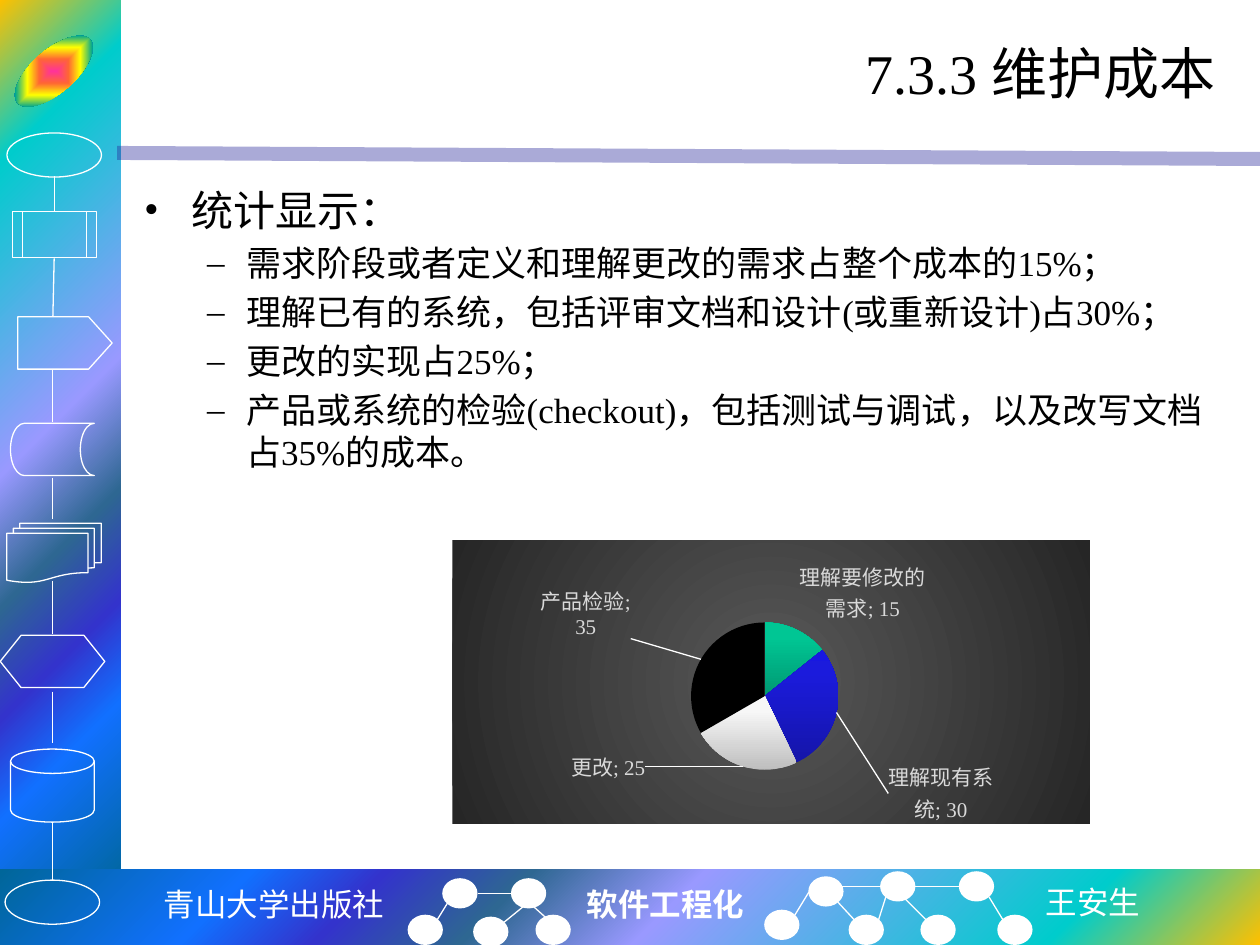
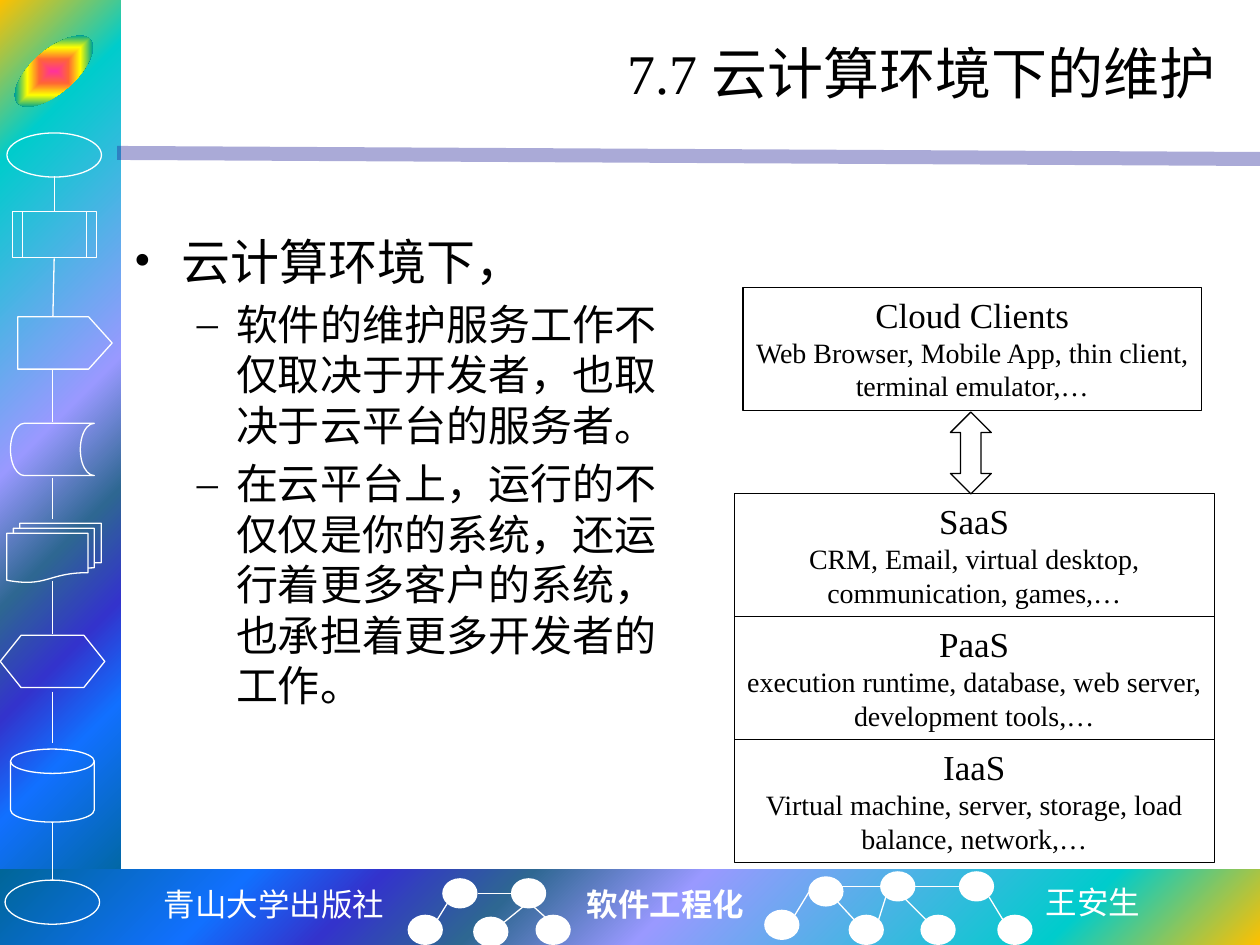
from pptx import Presentation
from pptx.chart.data import CategoryChartData
from pptx.dml.color import RGBColor
from pptx.dml.fill import FillFormat
from pptx.enum.chart import XL_CHART_TYPE
from pptx.enum.shapes import MSO_CONNECTOR, MSO_SHAPE
from pptx.enum.text import MSO_ANCHOR, PP_ALIGN
from pptx.oxml import parse_xml
from pptx.oxml.ns import nsdecls, qn
from pptx.oxml.xmlchemy import OxmlElement
from pptx.util import Inches, Pt

deck = Presentation()
deck.slide_width, deck.slide_height = Inches(10), Inches(7.5)
CELL = deck.slide_width / 100  # the grid has 100 columns and 75 rows of square cells


def place(*cells):
    """Turn grid columns and rows into lengths."""
    return [round(cell * CELL) for cell in cells]


def paint(fill, colours, shade=""):
    """Fill with one hex colour, with none, or with (share, hex) stops and a shade."""
    if not colours:
        fill.background()
    elif isinstance(colours, str):
        fill.solid()
        fill.fore_color.rgb = RGBColor.from_string(colours)
    else:
        fill.gradient()
        stops = "".join(f'<a:gs pos="{share * 1000}"><a:srgbClr val="{colour}"/></a:gs>'
                        for share, colour in colours)
        old = fill._xPr.find(qn("a:gradFill"))
        old.getparent().replace(old, parse_xml(
            f'<a:gradFill {nsdecls("a")} rotWithShape="1"><a:gsLst>{stops}</a:gsLst>{shade}</a:gradFill>'))


# Shared colours, shades and fonts
WHITE, BLACK, RULE, LABEL = "FFFFFF", "000000", "262699", "D9D9D9"
SERIF, MONO, SANS = "Times New Roman", "DejaVu Sans Mono", "Noto Sans CJK SC"
RAINBOW = [(0, "FFC000"), (16, "00CCCC"), (47, "9999FF"), (60, "2E6792"),
           (71, "3333CC"), (81, "1170FF"), (100, "006699")]
EMBLEM = [(0, "FF3399"), (25, "FF6633"), (50, "FFFF00"), (75, "01A78F"), (100, "3366FF")]
FROM_TOP_LEFT = '<a:path path="circle"><a:fillToRect r="100000" b="100000"/></a:path>'
FROM_BOTTOM_RIGHT = '<a:path path="circle"><a:fillToRect l="100000" t="100000"/></a:path>'
CENTRE = '<a:fillToRect l="50000" t="50000" r="50000" b="50000"/>'
UPWARD = '<a:lin ang="16200000" scaled="0"/>'

# Frame: bands, flow chart symbols in the side band, dots in the footer
BANDS = [((0, 0, 9.6, 70.9), FROM_TOP_LEFT), ((0, 69, 100, 6), FROM_BOTTOM_RIGHT)]
SYMBOLS = [
    (MSO_SHAPE.OVAL, (0.55, 10.55, 7.5, 3.5)),
    (MSO_SHAPE.FLOWCHART_PREDEFINED_PROCESS, (0.98, 16.78, 6.7, 3.65)),
    (MSO_SHAPE.PENTAGON, (1.4, 25.15, 7.5, 4.15)),
    (MSO_SHAPE.FLOWCHART_STORED_DATA, (0.83, 33.6, 6.65, 4.15)),
    (MSO_SHAPE.FLOWCHART_MULTIDOCUMENT, (0.53, 41.53, 7.5, 4.7)),
    (MSO_SHAPE.FLOWCHART_PREPARATION, (0.02, 50.42, 8.3, 4.15)),
    (MSO_SHAPE.FLOWCHART_MAGNETIC_DISK, (0.83, 59.45, 6.65, 5.8)),
    (MSO_SHAPE.OVAL, (0.4, 69.85, 7.5, 3.5)),
]
DOTS = [(32.35, 72.6), (35.1, 69.7), (37.55, 72.75), (40.55, 69.7), (42.5, 72.6),
        (60.65, 72.2), (64.15, 69.55), (67.35, 72.6), (69.85, 69.15), (73.05, 72.6),
        (76.1, 69.15), (79.15, 72.6)]
FLOW = [(4.3, 14, 4.3, 16.8), (4.3, 20.5, 4.2, 25.1)] + [
    (4.16, top, 4.16, bottom) for top, bottom in
    [(29.3, 33.5), (37.9, 41.2), (46.1, 50.3), (54.9, 59), (65.3, 69.9)]]
LINKS = [(34.7, 73, 35.5, 71.7), (40, 73.2, 41.6, 71.9), (40.6, 70.9, 37.9, 70.9),
         (43.4, 72.9, 42.4, 72), (63.1, 72.6, 64.2, 70.8), (67.8, 73, 66.5, 71.6),
         (66.8, 70.35, 70.3, 70.35), (69.7, 73.1, 70.3, 71.2), (73.5, 73, 71.5, 71),
         (72.6, 70.35, 76.1, 70.35), (79.6, 73, 78.5, 71.2)]

# Text blocks: place, look, paragraphs of (text, size)
FOOTERS = [
    ((11.9, 69.75, 19.7, 4), dict(colour=WHITE, font=MONO, align=PP_ALIGN.CENTER, wrap=False),
     [("青山大学出版社", 18)]),
    ((45.6, 69.75, 14.6, 4), dict(colour=WHITE, bold=True, wrap=False), [("软件工程化", 18)]),
    ((82, 69.6, 9.6, 4), dict(colour=WHITE, font=SANS, asian=SANS, wrap=False), [("王安生", 18)]),
]
TITLE = dict(align=PP_ALIGN.RIGHT, anchor=MSO_ANCHOR.MIDDLE)
BODY = dict(bullets=True)
FRAMED = dict(align=PP_ALIGN.CENTER, outline=BLACK)
COST = [
    ("统计显示：", 24),
    ("需求阶段或者定义和理解更改的需求占整个成本的15%；", 20),
    ("理解已有的系统，包括评审文档和设计(或重新设计)占30%；", 20),
    ("更改的实现占25%；", 20),
    ("产品或系统的检验(checkout)，包括测试与调试，以及改写文档占35%的成本。", 20),
]
CLOUD = [
    ("云计算环境下，", 28),
    ("软件的维护服务工作不仅取决于开发者，也取决于云平台的服务者。", 24),
    ("在云平台上，运行的不仅仅是你的系统，还运行着更多客户的系统，也承担着更多开发者的工作。", 24),
]
LAYERS = [
    ("SaaS", "CRM, Email, virtual desktop, communication, games,…"),
    ("PaaS", "execution runtime, database, web server, development tools,…"),
    ("IaaS", "Virtual machine, server, storage, load balance, network,…"),
]
LAYER_HEIGHT = 9.77
CLIENTS = [("Cloud Clients", 20), ("Web Browser, Mobile App, thin client, terminal emulator,…", 16)]
PAGES = [
    ("7.3.3 维护成本", [((10.45, 14.15, 87.8, 55), BODY, COST)]),
    ("7.7 云计算环境下的维护",
     [((9.65, 17.85, 46.2, 52.5), BODY, CLOUD), ((58.97, 22.8, 36.4, 9.77), FRAMED, CLIENTS)]
     + [((58.27, 39.15 + row * LAYER_HEIGHT, 38.1, LAYER_HEIGHT), FRAMED, [(name, 20), (parts, 16)])
        for row, (name, parts) in enumerate(LAYERS)]),
]

pages = []
for title, blocks in PAGES:
    page = deck.slides.add_slide(deck.slide_layouts[6])
    pages.append(page)

    # Bands
    for cells, shade in BANDS:
        band = page.shapes.add_shape(MSO_SHAPE.RECTANGLE, *place(*cells))
        band.shadow.inherit = False
        paint(band.fill, RAINBOW, shade)
        paint(band.line.fill, None)

    # Emblem, symbols and dots
    emblem = (MSO_SHAPE.OVAL, (0.45, 3.95, 7.65, 3.4), EMBLEM, None)
    symbols = [(kind, cells, None, WHITE) for kind, cells in SYMBOLS]
    dots = [(MSO_SHAPE.OVAL, (*corner, 2.8, 2.4), WHITE, None) for corner in DOTS]
    for kind, cells, colours, outline in [emblem, *symbols, *dots]:
        shape = page.shapes.add_shape(kind, *place(*cells))
        shape.shadow.inherit = False
        paint(shape.fill, colours, f'<a:path path="shape">{CENTRE}</a:path>')
        paint(shape.line.fill, outline)
        if outline:
            shape.line.width = Pt(0.75)
        if colours is EMBLEM:
            shape.rotation = -41
        if kind == MSO_SHAPE.PENTAGON:
            shape.adjustments[0] = 0.45

    # Title rule, flow lines and links
    rule = (9.3, 12.14, 100, 12.62)
    for ends in [rule, *FLOW, *LINKS]:
        line = page.shapes.add_connector(MSO_CONNECTOR.STRAIGHT, *place(*ends))
        paint(line.line.fill, RULE if ends is rule else WHITE)
        line.line.width = Pt(8 if ends is rule else 0.75)
        line._element.spPr.append(OxmlElement("a:effectLst"))
        if ends is rule:
            alpha = OxmlElement("a:alpha")
            alpha.set("val", "39000")
            next(line._element.iter(qn("a:srgbClr"))).append(alpha)

    # Footers, title and body text
    heading = ((12.5, 1.7, 85, 8.1), TITLE, [(title, 32)])
    for cells, look, rows in [*FOOTERS, heading, *blocks]:
        box = page.shapes.add_textbox(*place(*cells))
        frame = box.text_frame
        frame.word_wrap = look.get("wrap", True)
        frame.vertical_anchor = look.get("anchor", MSO_ANCHOR.TOP)
        if "outline" in look:
            paint(box.line.fill, look["outline"])
            box.line.width = Pt(0.75)
        for index, (text, size) in enumerate(rows):
            para = frame.add_paragraph() if index else frame.paragraphs[0]
            para.alignment = look.get("align", PP_ALIGN.LEFT)
            span = para.add_run()
            span.text = text
            style = dict(size=Pt(size), name=look.get("font", SERIF), bold=look.get("bold", False))
            for key, value in style.items():
                setattr(span.font, key, value)
            paint(span.font.fill, look.get("colour", BLACK))
            asian = OxmlElement("a:ea")
            asian.set("typeface", look.get("asian", MONO))
            span.font._element.find(qn("a:latin")).addnext(asian)
            if look.get("bullets"):
                para.level = min(index, 1)
                para.space_before = Pt(size * 0.2)
                margin, hanging, mark = [(0.38, 0.38, "•"), (0.81, 0.31, "–")][para.level]
                setting = para._p.get_or_add_pPr()
                setting.set("marL", str(Inches(margin)))
                setting.set("indent", str(-Inches(hanging)))
                setting.set("hangingPunct", "0")
                for tag, key, value in [("a:buFont", "typeface", SERIF), ("a:buChar", "char", mark)]:
                    bullet = OxmlElement(tag)
                    bullet.set(key, value)
                    setting.append(bullet)

# Pie of maintenance costs
cost_page, cloud_page = pages
data = CategoryChartData()
data.categories = ["理解要修改的需求", "理解现有系统", "更改", "产品检验"]
data.add_series("Series 1", [15, 30, 25, 35])
chart = cost_page.shapes.add_chart(XL_CHART_TYPE.PIE, *place(35.9, 42.88, 50.6, 22.5), data).chart
chart.has_legend = chart.has_title = False
chart.font.size, chart.font.name = Pt(10), SERIF
paint(chart.font.fill, BLACK)
pie = chart.plots[0]
pie.vary_by_categories = True
series = pie.series[0]
SLICES = [
    [(0, "009872"), (80, "00C694"), (100, "00C795")],
    [(0, "1515A9"), (80, "1B1BDC"), (100, "1818E1")],
    [(0, "BEBEBE"), (80, "F7F7F7"), (100, "F8F8F8")],
    BLACK,
]
for index, colours in enumerate(SLICES):
    paint(series.points[index].format.fill, colours, UPWARD)

# Chart background
backdrop = OxmlElement("c:spPr")
chart._chartSpace.chart.addnext(backdrop)
paint(FillFormat.from_fill_parent(backdrop), [(0, "595959"), (100, "262626")],
      f'<a:path path="circle">{CENTRE}</a:path>')
backdrop.append(parse_xml(f'<a:ln {nsdecls("a")}><a:noFill/></a:ln>'))

# Pie position inside the chart
area = chart._chartSpace.chart.plotArea
for old in area.findall(qn("c:layout")):
    area.remove(old)
area.insert(0, parse_xml(
    f'<c:layout {nsdecls("c")}><c:manualLayout><c:layoutTarget val="inner"/>'
    '<c:xMode val="edge"/><c:yMode val="edge"/><c:x val="0.37"/><c:y val="0.29"/>'
    '<c:w val="0.24"/><c:h val="0.52"/></c:manualLayout></c:layout>'))

# Labels: three moved away from their slices, the first one narrowed
SHOW = ('<c:dLblPos val="outEnd"/><c:showLegendKey val="0"/><c:showVal val="1"/>'
        '<c:showCatName val="1"/><c:showSerName val="0"/><c:showPercent val="0"/>'
        '<c:showBubbleSize val="0"/><c:separator>; </c:separator>')
LABEL_TEXT = ('<c:spPr><a:noFill/><a:ln><a:noFill/></a:ln></c:spPr><c:txPr><a:bodyPr/><a:p><a:pPr>'
              f'<a:defRPr sz="1200"><a:solidFill><a:srgbClr val="{LABEL}"/></a:solidFill>'
              f'<a:latin typeface="{SERIF}"/><a:ea typeface="{SANS}"/></a:defRPr></a:pPr>'
              '<a:endParaRPr lang="zh-CN"/></a:p></c:txPr>')
NARROW = ('<c:extLst><c:ext uri="{CE6537A1-D6FC-4f65-9D91-7224C49458BB}" '
          'xmlns:c15="http://schemas.microsoft.com/office/drawing/2012/chart"><c15:layout>'
          '<c:manualLayout><c:w val="0.18"/><c:h val="0.22"/></c:manualLayout>'
          '</c15:layout></c:ext></c:extLst>')
labels = f'<c:dLbl><c:idx val="0"/>{LABEL_TEXT}{SHOW}{NARROW}</c:dLbl>'
for index, across, down in [(1, 0.07, 0.28), (2, -0.15, -0.08), (3, -0.1, -0.06)]:
    show = SHOW.replace("; <", ";\n<") if index == 3 else SHOW
    labels += (f'<c:dLbl><c:idx val="{index}"/><c:layout><c:manualLayout><c:x val="{across}"/>'
               f'<c:y val="{down}"/></c:manualLayout></c:layout>{LABEL_TEXT}{show}</c:dLbl>')
series._element.find(qn("c:cat")).addprevious(parse_xml(
    f'<c:dLbls {nsdecls("c", "a")}>{labels}{LABEL_TEXT}{SHOW}<c:showLeaderLines val="1"/>'
    f'<c:leaderLines><c:spPr><a:ln w="9525"><a:solidFill><a:srgbClr val="{WHITE}"/>'
    '</a:solidFill></a:ln></c:spPr></c:leaderLines></c:dLbls>'))

# Arrow between the clients and the cloud layers
arrow = cloud_page.shapes.add_shape(MSO_SHAPE.UP_DOWN_ARROW, *place(75.43, 32.7, 3.25, 6.5))
arrow.shadow.inherit = False
paint(arrow.fill, None)
paint(arrow.line.fill, BLACK)
arrow.line.width = Pt(0.75)

deck.save("out.pptx")
